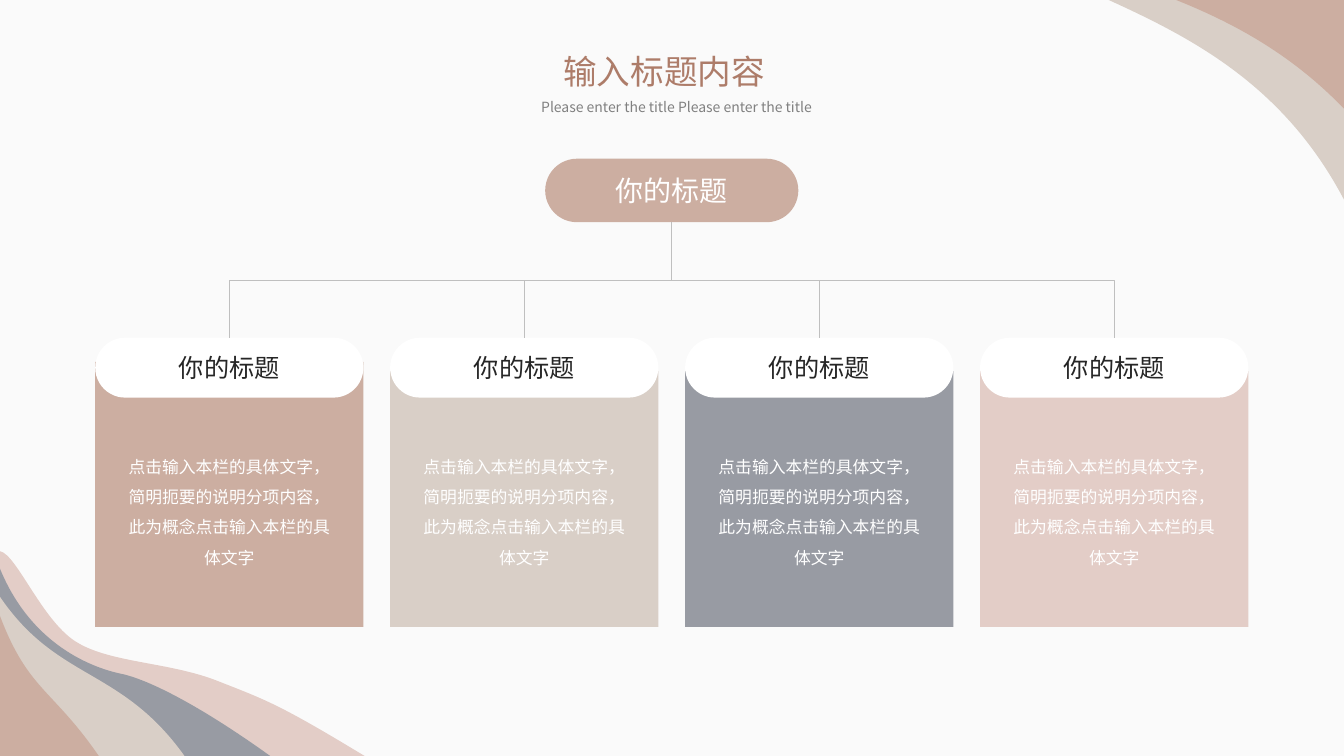
from lxml.etree import SubElement
from pptx import Presentation
from pptx.dml.color import RGBColor
from pptx.enum.shapes import MSO_CONNECTOR as Link, MSO_SHAPE as Preset
from pptx.enum.text import MSO_ANCHOR as Anchor, MSO_AUTO_SIZE as AutoSize, PP_ALIGN as Align
from pptx.oxml.ns import qn
from pptx.util import Cm, Pt

FONT = "Noto Sans CJK SC"
COLORS = {
    "paper": "FAFAFA", "clay": "CCAEA1", "sand": "D9CFC7", "slate": "989BA3",
    "blush": "E3CDC7", "white": "FFFFFF", "ink": "262626", "rust": "AD7C69",
    "grey": "808080", "rule": "BFBFBF",
}
WIDTH, HEIGHT = 33.87, 19.05
HEADING = "你的标题"
DETAIL = "点击输入本栏的具体文字，简明扼要的说明分项内容，此为概念点击输入本栏的具体文字"
CARDS = [("clay", 0.61), ("sand", 0.84), ("slate", 0.84), ("blush", 0.84)]
WAVES = [
    ("sand", (WIDTH, 0), [
        (WIDTH, 5.03), (32.36, 2.16), (30.07, 0.97), (27.94, 0)]),
    ("blush", (0, HEIGHT), [
        (0, 13.89), (0.43, 13.97), (1.09, 15.72), (1.98, 16.21),
        (2.84, 16.71), (4.32, 16.69), (5.51, 17.17),
        (6.73, 17.65), (7.04, 17.75), (9.19, HEIGHT)]),
    ("slate", (0, HEIGHT), [
        (0, 14.33), (0.79, 16.26), (2.34, 16.84), (3.1, 16.99),
        (3.86, 17.17), (5.18, 17.88), (6.81, HEIGHT)]),
    ("sand", (0, HEIGHT), [
        (0, 15.04), (1.45, 17.17), (3.05, 16.81), (4.65, HEIGHT)]),
    ("clay", (0, HEIGHT), [
        (0, 15.52), (0.71, 17.4), (1.32, 17.35), (2.49, HEIGHT)]),
    ("clay", (WIDTH, 0), [
        (WIDTH, 2.74), (32.49, 1.3), (30.96, 0.53), (29.64, 0)]),
]


def rgb(name):
    return RGBColor.from_string(COLORS[name])


def paint(shape, color):
    shape.shadow.inherit = False
    shape.fill.solid()
    shape.fill.fore_color.rgb = rgb(color)
    shape.line.fill.background()


def write(frame, text, size, color, align, spacing=1.0, anchor=Anchor.TOP):
    frame.text = text
    frame.word_wrap = True
    frame.auto_size = AutoSize.NONE
    frame.vertical_anchor = anchor
    paragraph = frame.paragraphs[0]
    paragraph.alignment = align
    paragraph.line_spacing = spacing
    paragraph.font.size = Pt(size)
    paragraph.font.color.rgb = rgb(color)
    paragraph.font.name = FONT
    defaults = paragraph.font._element
    SubElement(defaults, qn("a:ea")).set("typeface", FONT)


def bend(wave):
    segments = list(wave.element.iter(qn("a:lnTo")))[1:]
    for start in range(0, len(segments), 3):
        first, *others = segments[start:start + 3]
        first.tag = qn("a:cubicBezTo")
        for other in others:
            first.append(other[0])
            other.getparent().remove(other)


def add_wave(slide, master, color, corner, curve):
    outline = slide.shapes.build_freeform(Cm(corner[0]), Cm(corner[1]))
    outline.add_line_segments([(Cm(x), Cm(y)) for x, y in curve], close=True)
    wave = outline.convert_to_shape()
    paint(wave, color)
    bend(wave)
    master.shapes.element.append(wave.element)


def add_header(slide, left, top, width):
    title = slide.shapes.title
    title.left, title.top = Cm(left + 0.55), Cm(top)
    title.width, title.height = Cm(5.92), Cm(1.27)
    write(title.text_frame, "输入标题内容", 24, "rust", Align.LEFT)
    subtitle = slide.shapes.add_textbox(Cm(left), Cm(top + 0.99), Cm(width), Cm(0.89))
    write(subtitle.text_frame, "Please enter the title Please enter the title",
          10, "grey", Align.LEFT, 1.5)


def add_pill(slide, left, top, width, height, fill, size, color):
    pill = slide.shapes.add_shape(
        Preset.ROUNDED_RECTANGLE, Cm(left), Cm(top), Cm(width), Cm(height))
    pill.adjustments[0] = 0.5
    paint(pill, fill)
    write(pill.text_frame, HEADING, size, color, Align.CENTER, anchor=Anchor.MIDDLE)
    return pill


def add_card(slide, left, top, width, height, color, inset):
    panel = slide.shapes.add_shape(
        Preset.RECTANGLE, Cm(left), Cm(top + inset), Cm(width), Cm(height - inset))
    paint(panel, color)
    detail = slide.shapes.add_textbox(
        Cm(left + 0.49), Cm(top + 2.62), Cm(width - 0.98), Cm(3.33))
    write(detail.text_frame, DETAIL, 12, "white", Align.CENTER, 1.5)
    return add_pill(slide, left, top, width, 1.51, "white", 18, "ink")


def add_branch(slide, root, card):
    branch = slide.shapes.add_connector(Link.ELBOW, 0, 0, 0, 0)
    branch.begin_connect(root, 2)
    branch.end_connect(card, 0)
    start_x, start_y = root.left + root.width // 2, root.top + root.height
    run, drop = card.left + card.width // 2 - start_x, card.top - start_y
    branch.width, branch.height = drop, abs(run)
    branch.left = start_x + (run - drop) // 2
    branch.top = start_y + (drop - abs(run)) // 2
    properties = branch.element.spPr
    frame = properties.find(qn("a:xfrm"))
    frame.set("rot", "5400000")
    frame.set("flipH", "0")
    frame.set("flipV", str(int(run > 0)))
    branch.line.color.rgb = rgb("rule")
    branch.line.width = Pt(0.5)
    SubElement(properties, qn("a:effectLst"))


def add_tree(slide, left, top, width, height):
    root_width, card_width, card_top = 6.38, 6.76, top + 4.51
    pitch = (width - card_width) / (len(CARDS) - 1)
    root = add_pill(slide, left + (width - root_width) / 2, top,
                    root_width, 1.6, "clay", 20, "white")
    for index, (color, inset) in enumerate(CARDS):
        card = add_card(slide, left + index * pitch, card_top, card_width,
                        height - 4.51, color, inset)
        add_branch(slide, root, card)


def main():
    deck = Presentation()
    deck.slide_width, deck.slide_height = Cm(WIDTH), Cm(HEIGHT)
    slide = deck.slides.add_slide(deck.slide_layouts[5])
    slide.background.fill.solid()
    slide.background.fill.fore_color.rgb = rgb("paper")
    for color, corner, curve in WAVES:
        add_wave(slide, deck.slide_master, color, corner, curve)
    add_header(slide, 13.39, 1.16, 8.64)
    add_tree(slide, 2.4, 4, 29.06, 11.8)
    deck.save("out.pptx")


if __name__ == "__main__":
    main()
